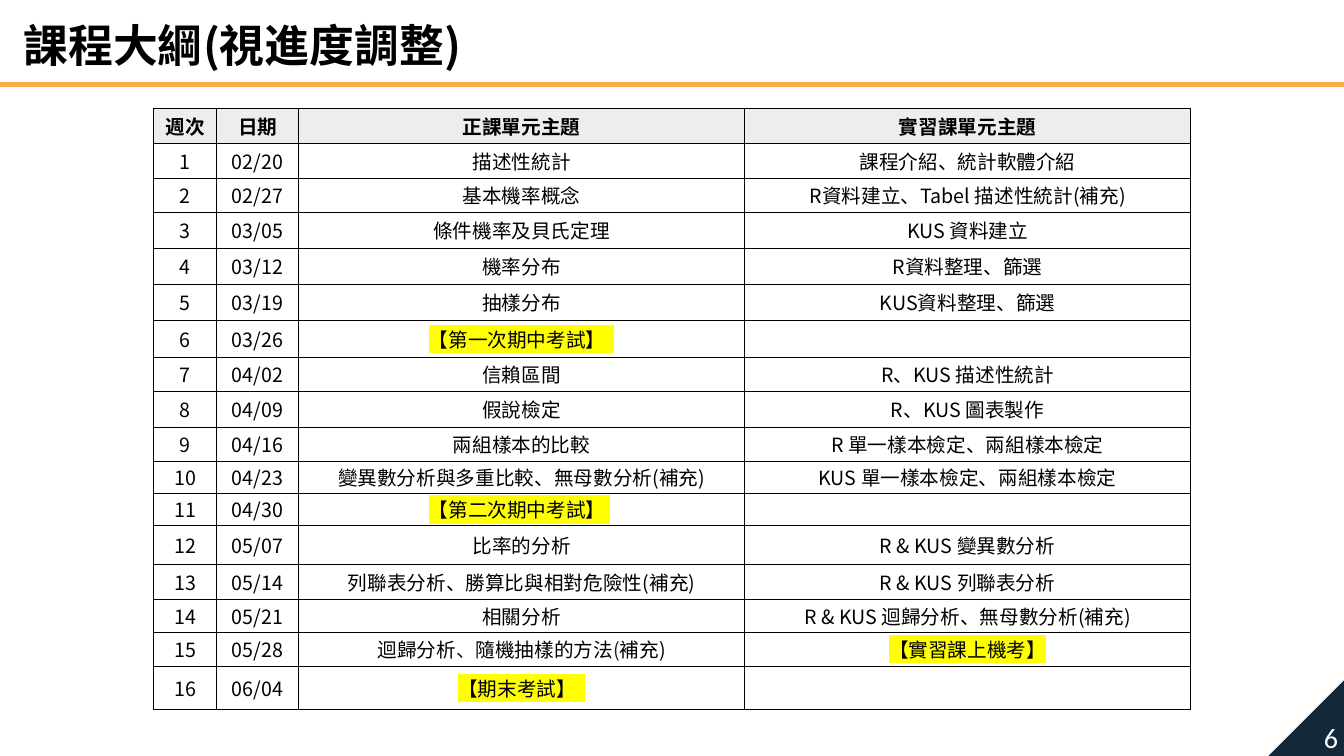
"""Build the course outline slide with its weekly schedule table."""
import lxml.etree
import pptx
import pptx.dml.color
import pptx.enum.shapes
import pptx.enum.text
import pptx.oxml.ns
import pptx.util

BLACK = pptx.dml.color.RGBColor(0x00, 0x00, 0x00)
WHITE = pptx.dml.color.RGBColor(0xFF, 0xFF, 0xFF)
GREY = pptx.dml.color.RGBColor(0x22, 0x22, 0x22)
PALE = pptx.dml.color.RGBColor(0xED, 0xED, 0xED)
NAVY = pptx.dml.color.RGBColor(0x13, 0x29, 0x3A)
AMBER = pptx.dml.color.RGBColor(0xFF, 0xAC, 0x4B)
YELLOW = pptx.dml.color.RGBColor(0xFF, 0xFF, 0x00)

ALIGN = pptx.enum.text.PP_ALIGN
MIDDLE = pptx.enum.text.MSO_ANCHOR.MIDDLE
SHAPE = pptx.enum.shapes.MSO_SHAPE
COLS, ROWS = 160, 90

HEAD = ("週次", "日期", "正課單元主題", "實習課單元主題")
WEEKS = [
    ("02/20", "描述性統計", "課程介紹、統計軟體介紹"),
    ("02/27", "基本機率概念", "R資料建立、Tabel 描述性統計(補充)"),
    ("03/05", "條件機率及貝氏定理", "KUS 資料建立"),
    ("03/12", "機率分布", "R資料整理、篩選"),
    ("03/19", "抽樣分布", "KUS資料整理、篩選"),
    ("03/26", "【第一次期中考試】  ", ""),
    ("04/02", "信賴區間", "R、KUS 描述性統計"),
    ("04/09", "假說檢定", "R、KUS 圖表製作"),
    ("04/16", "兩組樣本的比較", "R 單一樣本檢定、兩組樣本檢定"),
    ("04/23", "變異數分析與多重比較、無母數分析(補充)", "KUS 單一樣本檢定、兩組樣本檢定"),
    ("04/30", ("【第二次期中考試】 ", " "), ""),
    ("05/07", "比率的分析", "R & KUS 變異數分析"),
    ("05/14", "列聯表分析、勝算比與相對危險性(補充)", "R & KUS 列聯表分析"),
    ("05/21", "相關分析", "R & KUS 迴歸分析、無母數分析(補充)"),
    ("05/28", ("迴歸分析", "、", "隨機抽樣的方法", "(", "補充)"), "【實習課上機考】"),
    ("06/04", "【期末考試】  ", ""),
]
WIDTHS = (7.5, 9.75, 53.1, 53.1)
HEIGHTS = (4.1, 4.17, 4.05, 4.29, 4.29, 4.29, 4.4, 4.05, 4.29,
           4.05, 3.81, 3.81, 4.7, 4.1, 3.93, 4.05, 5.12)


def node(home, tag, **attrs):
    return lxml.etree.SubElement(home, pptx.oxml.ns.qn(tag), **attrs)


def text(frame, words, size=14, bold=False, color=BLACK, face="Noto Sans CJK SC",
         align=ALIGN.CENTER):
    para = frame.paragraphs[0]
    para.alignment = align
    if not words:
        node(para._p, "a:endParaRPr", sz=str(size * 100))
        return
    for part in (words,) if isinstance(words, str) else words:
        run = para.add_run()
        run.text = part
        font = run.font
        font.size = pptx.util.Pt(size)
        font.bold = bold
        font.color.rgb = GREY if part in ("、", "(") else color
        props = run._r.get_or_add_rPr()
        if part.startswith("【"):
            node(node(props, "a:highlight"), "a:srgbClr", val=str(YELLOW))
        font.name = face
        node(props, "a:ea", typeface=face)


class Deck:
    def __init__(self):
        self.show = pptx.Presentation()
        self.show.slide_width = pptx.util.Inches(13.33)
        self.show.slide_height = pptx.util.Inches(7.5)
        self.slide = self.show.slides.add_slide(self.show.slide_layouts[5])
        self.shapes = self.slide.shapes

    def x(self, cols):
        return round(self.show.slide_width * cols / COLS)

    def y(self, rows):
        return round(self.show.slide_height * rows / ROWS)

    def box(self, left, top, width, height):
        return self.x(left), self.y(top), self.x(width), self.y(height)

    def title(self, words, *area):
        name = self.shapes.title
        name.left, name.top, name.width, name.height = self.box(*area)
        frame = name.text_frame
        frame.auto_size = pptx.enum.text.MSO_AUTO_SIZE.NONE
        frame.vertical_anchor = MIDDLE
        text(frame, words, size=32, bold=True, align=ALIGN.LEFT)

    def corner(self, *area):
        shape = self.shapes.add_shape(SHAPE.ISOSCELES_TRIANGLE, *self.box(*area))
        shape.adjustments[0] = 1
        shape.shadow.inherit = False
        shape.fill.solid()
        shape.fill.fore_color.rgb = NAVY
        shape.line.fill.background()

    def page(self, words, *area):
        frame = self.shapes.add_textbox(*self.box(*area)).text_frame
        frame.word_wrap = True
        frame.vertical_anchor = MIDDLE
        frame.margin_right = pptx.util.Inches(0.06)
        text(frame, words, size=20, color=WHITE, face="Calibri", align=ALIGN.RIGHT)

    def rule(self, row):
        line = self.shapes.add_connector(
            pptx.enum.shapes.MSO_CONNECTOR.STRAIGHT,
            0, self.y(row), self.x(COLS), self.y(row))
        line.line.color.rgb = AMBER
        line.line.width = pptx.util.Pt(3.25)
        node(line._element.spPr, "a:effectLst")

    def table(self, data, left, top):
        area = self.box(left, top, sum(WIDTHS), sum(HEIGHTS))
        table = self.shapes.add_table(len(data), len(WIDTHS), *area).table
        table.first_row = table.horz_banding = False
        for col, width in zip(table.columns, WIDTHS):
            col.width = self.x(width)
        for row, height, line in zip(table.rows, HEIGHTS, data):
            row.height = self.y(height)
            for cell, words in zip(row.cells, line):
                self.cell(cell, words, line is HEAD)

    def cell(self, cell, words, head):
        cell.vertical_anchor = MIDDLE
        cell.margin_left = pptx.util.Inches(0.06)
        cell.margin_right = pptx.util.Inches(0.05)
        cell.margin_top = cell.margin_bottom = 0
        text(cell.text_frame, words, bold=head)
        props = cell._tc.get_or_add_tcPr()
        for side in "LRTB":
            edge = node(props, f"a:ln{side}", w=str(pptx.util.Pt(1)))
            node(node(edge, "a:solidFill"), "a:srgbClr", val=str(BLACK))
        if head:
            cell.fill.solid()
            cell.fill.fore_color.rgb = PALE
        else:
            cell.fill.background()


def main():
    deck = Deck()
    deck.corner(151, 81, 9, 9)
    deck.page("6", 124.4, 85.4, 35.6, 4.8)
    deck.title("課程大綱(視進度調整)", 1.6, 0.4, 69, 9.7)
    deck.rule(10.08)
    weeks = [(str(week), *line) for week, line in enumerate(WEEKS, 1)]
    deck.table([HEAD, *weeks], 18.24, 12.96)
    deck.show.save("out.pptx")


if __name__ == "__main__":
    main()
